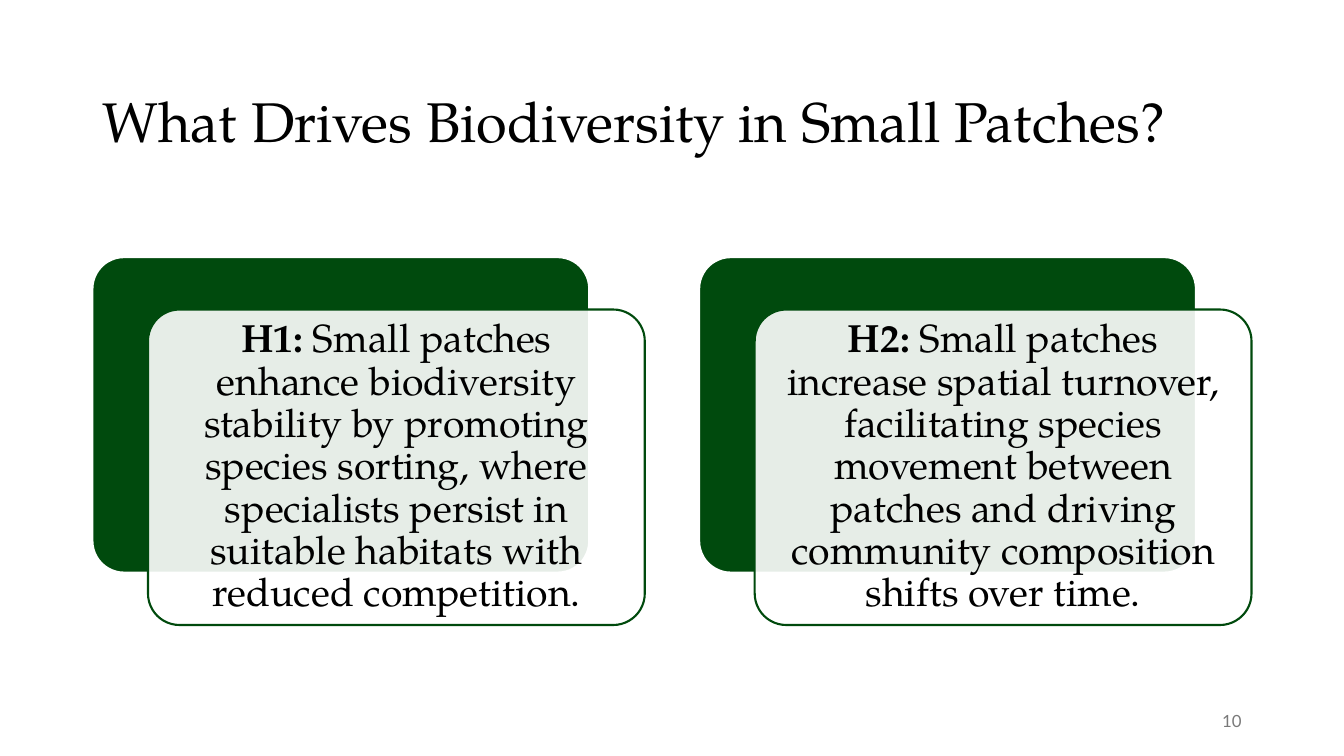
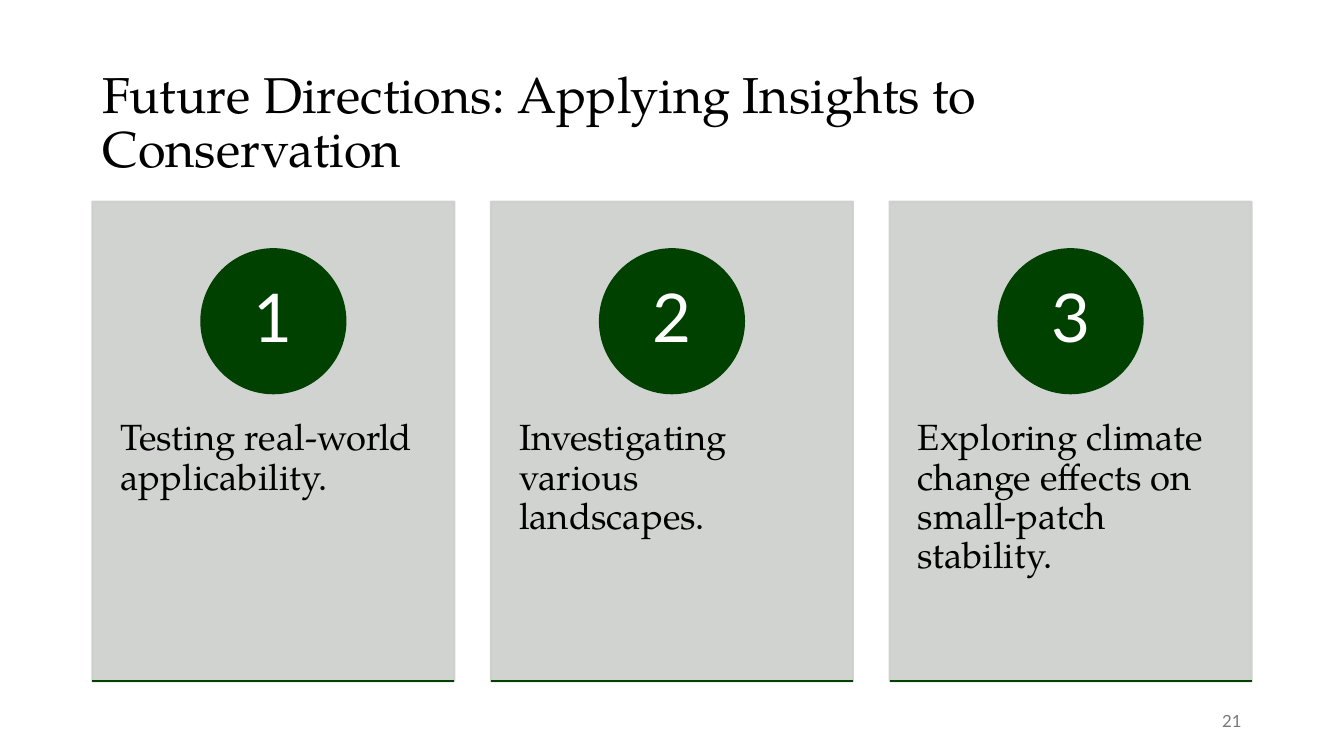
"""Build two slides on biodiversity in small patches: hypotheses and future directions."""
from lxml import etree
from pptx import Presentation
from pptx.dml.color import RGBColor
from pptx.enum.shapes import MSO_CONNECTOR, MSO_SHAPE
from pptx.enum.text import MSO_ANCHOR, MSO_AUTO_SIZE, PP_ALIGN
from pptx.oxml.ns import qn
from pptx.util import Cm, Pt

LEFT, CENTER, RIGHT = PP_ALIGN.LEFT, PP_ALIGN.CENTER, PP_ALIGN.RIGHT
TOP, MIDDLE = MSO_ANCHOR.TOP, MSO_ANCHOR.MIDDLE
RECTANGLE, ROUNDED, OVAL = MSO_SHAPE.RECTANGLE, MSO_SHAPE.ROUNDED_RECTANGLE, MSO_SHAPE.OVAL
STRAIGHT = MSO_CONNECTOR.STRAIGHT
NO_AUTOFIT = MSO_AUTO_SIZE.NONE
TITLE_ONLY = 5

COLORS = {
    "ink": "000000",
    "white": "FFFFFF",
    "green": "004A0D",
    "dark_green": "004100",
    "gray": "CCCFCC",
    "number": "797979",
}
SERIF, SANS = "TeX Gyre Pagella", "Lato"
MARGIN, CONTENT_WIDTH = 2.33, 29.21


def rgb(name):
    return RGBColor.from_string(COLORS[name])


def write(frame, text, size, font=SERIF, color="ink", align=LEFT, anchor=MIDDLE,
          insets=(0.25, 0.13, 0.25, 0.13), lead="", spacing=0.9):
    """Fill a text frame with one paragraph, opened by an optional bold lead."""
    frame.word_wrap = True
    frame.auto_size = NO_AUTOFIT
    frame.vertical_anchor = anchor
    frame.margin_left, frame.margin_top, frame.margin_right, frame.margin_bottom = map(Cm, insets)
    paragraph = frame.paragraphs[0]
    paragraph.alignment = align
    paragraph.line_spacing = spacing
    for part, bold in ((lead, True), (text, False)):
        if part:
            run = paragraph.add_run()
            run.text = part
            run.font.name = font
            run.font.size = Pt(size)
            run.font.bold = bold
            run.font.color.rgb = rgb(color)


class Deck:
    """Hold the presentation, its shared style and the current slide."""

    def __init__(self):
        self.presentation = Presentation()
        self.presentation.slide_width = Cm(33.87)
        self.presentation.slide_height = Cm(19.05)
        self.slide = None

    def start_slide(self, title, number, title_size):
        layout = self.presentation.slide_layouts[TITLE_ONLY]
        self.slide = self.presentation.slides.add_slide(layout)
        heading = self.slide.shapes.title
        heading.left, heading.top = Cm(MARGIN), Cm(1.55)
        heading.width, heading.height = Cm(CONTENT_WIDTH), Cm(3.15)
        write(heading.text_frame, title, title_size)
        width = 7.62
        page = self.slide.shapes.add_textbox(
            Cm(MARGIN + CONTENT_WIDTH - width), Cm(17.65), Cm(width), Cm(1.01))
        write(page.text_frame, number, 12, font=SANS, color="number", align=RIGHT, spacing=1)

    def shape(self, kind, left, top, width, height, fill, line, opacity=100):
        shape = self.slide.shapes.add_shape(kind, Cm(left), Cm(top), Cm(width), Cm(height))
        shape.shadow.inherit = False
        shape.fill.solid()
        shape.fill.fore_color.rgb = rgb(fill)
        shape.line.color.rgb = rgb(line)
        shape.line.width = Pt(1.5)
        if kind == ROUNDED:
            shape.adjustments[0] = 0.1
        if opacity < 100:
            for color in shape._element.spPr.iter(qn("a:srgbClr")):
                if color.get("val") == COLORS[fill]:
                    etree.SubElement(color, qn("a:alpha"), val=str(opacity * 1000))
        return shape

    def rule(self, left, top, width):
        rule = self.slide.shapes.add_connector(
            STRAIGHT, Cm(left), Cm(top), Cm(left + width), Cm(top))
        rule.line.color.rgb = rgb("dark_green")
        rule.line.width = Pt(1.5)
        etree.SubElement(rule._element.spPr, qn("a:effectLst"))

    def hypotheses(self, items):
        top, width, height = 6.48, 12.52, 7.95
        shift_x, shift_y = 1.4, 1.32
        pitch = (CONTENT_WIDTH - shift_x - width) / (len(items) - 1)
        for index, (label, statement) in enumerate(items):
            left = MARGIN + index * pitch
            self.shape(ROUNDED, left, top, width, height, "green", "white")
            front = self.shape(ROUNDED, left + shift_x, top + shift_y, width, height,
                               "white", "green", opacity=90)
            write(front.text_frame, statement, 28, align=CENTER, insets=(0.3,) * 4, lead=label)

    def directions(self, items):
        top, width, height, diameter = 5.08, 9.12, 12.09, 3.63
        pitch = (CONTENT_WIDTH - width) / (len(items) - 1)
        for index, direction in enumerate(items):
            left = MARGIN + index * pitch
            card = self.shape(RECTANGLE, left, top, width, height, "gray", "gray", opacity=90)
            write(card.text_frame, direction, 26, anchor=TOP, insets=(0.71, 5.49, 0.71, 0.91))
            badge = self.shape(OVAL, left + (width - diameter) / 2, top + 1.2,
                               diameter, diameter, "dark_green", "dark_green")
            write(badge.text_frame, str(index + 1), 48, font=SANS, color="white",
                  align=CENTER, insets=(0.28, 0.03, 0.28, 0.03))
            self.rule(left, top + height, width)


def main():
    deck = Deck()
    deck.start_slide("What Drives Biodiversity in Small Patches?", "10", title_size=40)
    deck.hypotheses([
        ("H1:", " Small patches enhance biodiversity stability by promoting species sorting, "
                "where specialists persist in suitable habitats with reduced competition."),
        ("H2:", " Small patches increase spatial turnover, facilitating species movement "
                "between patches and driving community composition shifts over time."),
    ])
    deck.start_slide("Future Directions: Applying Insights to Conservation", "21", title_size=36)
    deck.directions([
        "Testing real-world applicability.",
        "Investigating various landscapes.",
        "Exploring climate change effects on small-patch stability.",
    ])
    deck.presentation.save("out.pptx")


if __name__ == "__main__":
    main()
